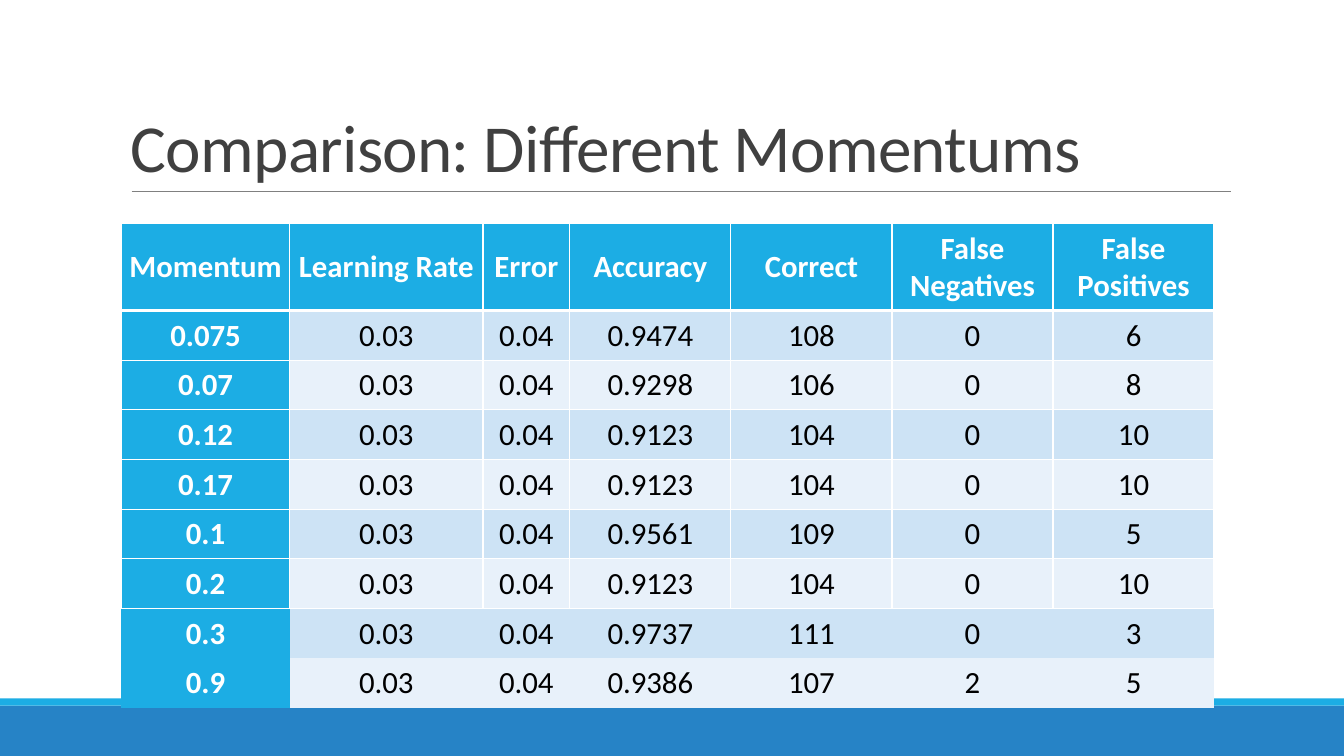
from dataclasses import dataclass

from lxml.etree import SubElement
from pptx import Presentation
from pptx.dml.color import RGBColor as Rgb
from pptx.enum.shapes import MSO_CONNECTOR as Connector, MSO_SHAPE as Preset
from pptx.enum.text import MSO_ANCHOR as Anchor, PP_ALIGN as Align
from pptx.oxml.ns import qn
from pptx.util import Cm, Pt


@dataclass(frozen=True)
class Theme:
    font: str = "Calibri"
    title_size: float = 48
    table_size: float = 22
    title: str = "404040"
    rule: str = "808080"
    accent: str = "1CADE4"
    footer: str = "2683C6"
    bands: tuple = ("CDE3F5", "E8F1FA")
    light: str = "FFFFFF"
    dark: str = "000000"


class SlideBuilder:
    def __init__(self, slide, theme):
        self.slide = slide
        self.theme = theme

    def style_run(self, run, size, color, bold=False):
        run.font.name = self.theme.font
        run.font.size = Pt(size)
        run.font.bold = bold
        run.font.color.rgb = Rgb.from_string(color)

    def bar(self, left, top, width, height, color):
        bar = self.slide.shapes.add_shape(
            Preset.RECTANGLE, Cm(left), Cm(top), Cm(width), Cm(height))
        bar.shadow.inherit = False
        bar.fill.solid()
        bar.fill.fore_color.rgb = Rgb.from_string(color)
        bar.line.fill.background()

    def rule(self, left, right, y):
        rule = self.slide.shapes.add_connector(
            Connector.STRAIGHT, Cm(left), Cm(y), Cm(right), Cm(y))
        rule.line.color.rgb = Rgb.from_string(self.theme.rule)
        rule.line.width = Pt(0.5)
        SubElement(rule._element.spPr, qn("a:effectLst"))

    def title(self, text, left, top, width, height):
        frame = self.slide.shapes.add_textbox(
            Cm(left), Cm(top), Cm(width), Cm(height)).text_frame
        frame.word_wrap = True
        frame.vertical_anchor = Anchor.BOTTOM
        frame.text = text
        heading = frame.paragraphs[0]
        heading.line_spacing = 0.85
        run = heading.runs[0]
        self.style_run(run, self.theme.title_size, self.theme.title)
        run.font._element.set("spc", "-50")

    def borders(self, cell, **widths):
        properties = cell._tc.get_or_add_tcPr()
        for side in "LRTB":
            width = widths.get(side, 0)
            line = SubElement(properties, qn(f"a:ln{side}"), w=str(Pt(width)))
            if width:
                fill = SubElement(line, qn("a:solidFill"))
                SubElement(fill, qn("a:srgbClr"), val=self.theme.light)
            else:
                SubElement(line, qn("a:noFill"))

    def cell(self, cell, text, fill, color, bold, widths):
        self.borders(cell, **widths)
        cell.fill.solid()
        cell.fill.fore_color.rgb = Rgb.from_string(fill)
        cell.vertical_anchor = Anchor.MIDDLE
        cell.margin_left = cell.margin_right = Cm(0.16)
        cell.margin_top = cell.margin_bottom = Cm(0.16)
        cell.text_frame.text = text
        paragraph = cell.text_frame.paragraphs[0]
        paragraph.alignment = Align.CENTER
        paragraph.space_after = Pt(8)
        self.style_run(paragraph.runs[0], self.theme.table_size, color, bold)

    def table(self, rows, left, top, column_widths, row_heights):
        table = self.slide.shapes.add_table(
            len(rows), len(column_widths), Cm(left), Cm(top),
            Cm(sum(column_widths)), Cm(sum(row_heights))).table
        table.first_col = True
        for column, width in zip(table.columns, column_widths):
            column.width = Cm(width)
        for row, height in zip(table.rows, row_heights):
            row.height = Cm(height)
        for r, values in enumerate(rows):
            widths = self.row_borders(r, len(rows))
            for c, text in enumerate(values):
                heading = r == 0 or c == 0
                fill = self.theme.accent if heading else self.theme.bands[(r - 1) % 2]
                color = self.theme.light if heading else self.theme.dark
                self.cell(table.cell(r, c), text, fill, color, heading, widths)

    def row_borders(self, row, row_count):
        if row == row_count - 1:
            return {}
        if row == row_count - 2:
            return {"T": 1}
        return {"L": 1, "R": 1, "T": 3 if row == 1 else 1, "B": 3 if row == 0 else 1}


LEARNING_RATE = "0.03"
ERROR = "0.04"
HEADINGS = ("Momentum", "Learning Rate", "Error", "Accuracy", "Correct",
            "False Negatives", "False Positives")
RESULTS = (
    ("0.075", "0.9474", "108", "0", "6"),
    ("0.07", "0.9298", "106", "0", "8"),
    ("0.12", "0.9123", "104", "0", "10"),
    ("0.17", "0.9123", "104", "0", "10"),
    ("0.1", "0.9561", "109", "0", "5"),
    ("0.2", "0.9123", "104", "0", "10"),
    ("0.3", "0.9737", "111", "0", "3"),
    ("0.9", "0.9386", "107", "2", "5"),
)


def main():
    theme = Theme()
    deck = Presentation()
    deck.slide_width, deck.slide_height = Cm(33.87), Cm(19.05)
    builder = SlideBuilder(deck.slides.add_slide(deck.slide_layouts[6]), theme)

    builder.bar(0, 17.78, 33.87, 1.27, theme.footer)
    builder.bar(0, 17.6, 33.87, 0.18, theme.accent)
    builder.rule(3.32, 31.01, 4.83)
    builder.title("Comparison: Different Momentums", 3.05, 0.8, 27.94, 4.03)

    comparison = [HEADINGS] + [
        (momentum, LEARNING_RATE, ERROR, *scores) for momentum, *scores in RESULTS]
    builder.table(comparison, 3.06, 5.64,
                  [4.24, 4.87, 2.19] + [4.06] * 4,
                  [2.08] + [1.17] * len(RESULTS))
    deck.save("out.pptx")


if __name__ == "__main__":
    main()
